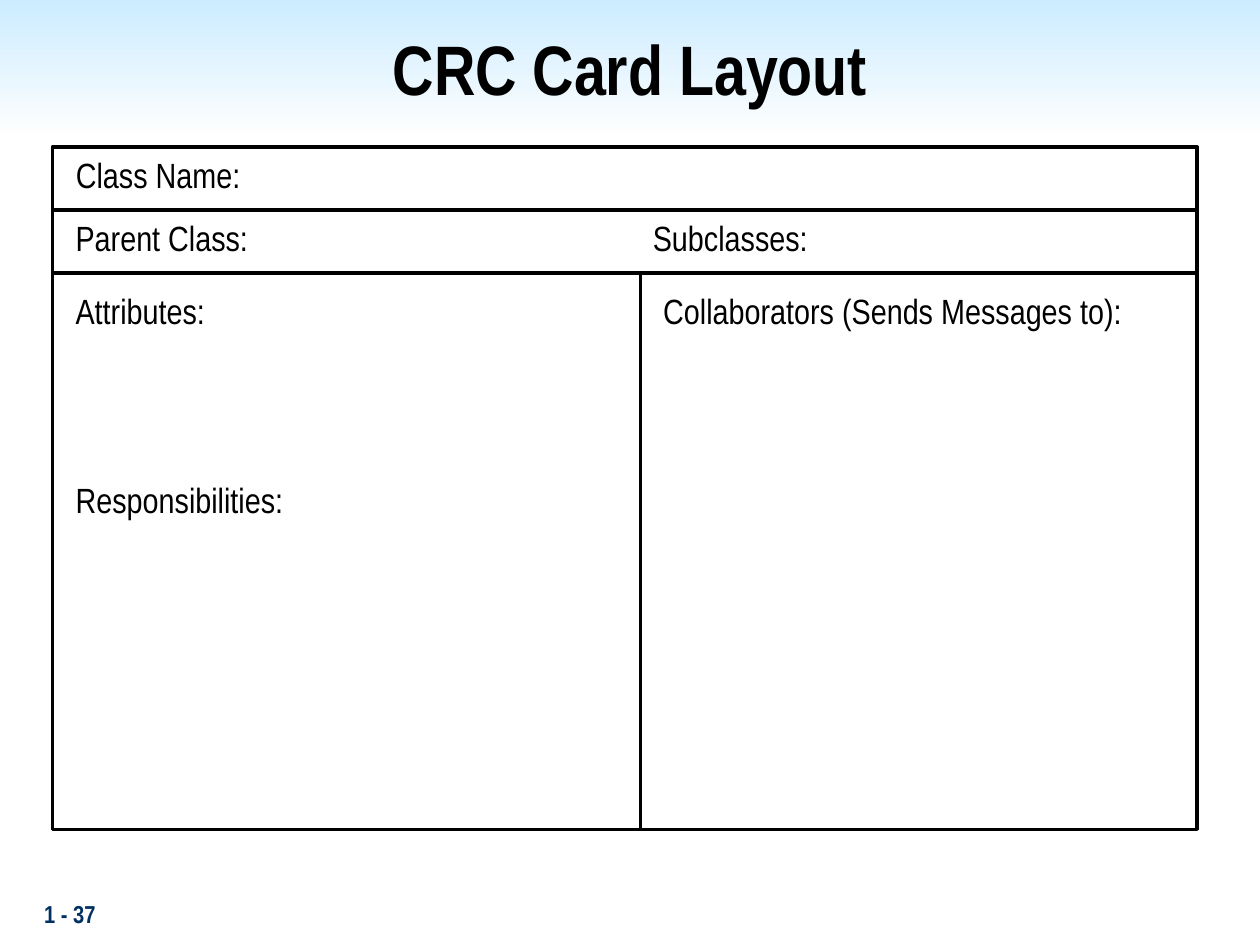
from dataclasses import dataclass

from lxml import etree
from pptx import Presentation
from pptx.dml.color import RGBColor
from pptx.enum.shapes import MSO_CONNECTOR, MSO_SHAPE
from pptx.enum.text import MSO_ANCHOR, MSO_AUTO_SIZE, PP_ALIGN
from pptx.oxml.ns import qn
from pptx.util import Cm, Pt

RECTANGLE = MSO_SHAPE.RECTANGLE
STRAIGHT = MSO_CONNECTOR.STRAIGHT
LEFT, CENTER = PP_ALIGN.LEFT, PP_ALIGN.CENTER
MIDDLE, TOP = MSO_ANCHOR.MIDDLE, MSO_ANCHOR.TOP
FIT_SHAPE, NO_FIT = MSO_AUTO_SIZE.SHAPE_TO_FIT_TEXT, MSO_AUTO_SIZE.NONE

COLORS = {"ink": "000000", "paper": "FFFFFF", "number": "003162",
          "sky": "CCECFF", "fade": "FEFEFE"}
FONT = "Arial Narrow"
LINE_WIDTH = Pt(2)

# Card geometry in centimetres
CARD_LEFT, CARD_TOP, CARD_WIDTH, CARD_HEIGHT = 1.06, 2.96, 23.07, 13.76
CARD_RIGHT, CARD_BOTTOM = CARD_LEFT + CARD_WIDTH, CARD_TOP + CARD_HEIGHT
ROW = 1.27
PARENT_TOP, BODY_TOP = CARD_TOP + ROW, CARD_TOP + 2 * ROW
DIVIDER = 12.91
GAP = 0.21
LABEL_LEFT = CARD_LEFT + GAP
LABEL_HEIGHT = 1.1


@dataclass
class Text:
    text: str
    left: float
    top: float
    width: float
    height: float = LABEL_HEIGHT
    size: int = 20
    bold: bool = False
    color: str = "ink"
    align: PP_ALIGN = CENTER
    anchor: MSO_ANCHOR = TOP
    wrap: bool = False


@dataclass
class Rule:
    x1: float
    y1: float
    x2: float
    y2: float


TEXTS = [
    Text("1 - 37", 0.64, 17.99, 5.28, 0.85, 14, True, "number", LEFT, wrap=True),
    Text("CRC Card Layout", 0.42, 0.42, 24.56, 1.9, 40, True,
         anchor=MIDDLE, wrap=True),
    Text("Class Name:", LABEL_LEFT, CARD_TOP, 3.84),
    Text("Parent Class:", LABEL_LEFT, PARENT_TOP, 3.99),
    Text("Subclasses:", DIVIDER, PARENT_TOP, 3.63),
    Text("Attributes:", LABEL_LEFT, BODY_TOP + GAP, 3.12),
    Text("Responsibilities:", LABEL_LEFT, BODY_TOP + GAP + 3 * ROW, 4.7),
    Text("Collaborators (Sends Messages to):", DIVIDER + GAP, BODY_TOP + GAP, 9.75),
]

RULES = [
    Rule(CARD_LEFT, PARENT_TOP, CARD_RIGHT, PARENT_TOP),
    Rule(CARD_LEFT, BODY_TOP, CARD_RIGHT, BODY_TOP),
    Rule(DIVIDER, BODY_TOP, DIVIDER, CARD_BOTTOM),
]


def rgb(name: str) -> RGBColor:
    return RGBColor.from_string(COLORS[name])


def add_band(slide) -> None:
    s = slide.shapes.add_shape(RECTANGLE, 0, 0, Cm(25.4), Cm(2.74))
    s.shadow.inherit = False
    s.line.fill.background()
    s.fill.gradient()
    s.fill.gradient_angle = 270
    for stop, name in zip(s.fill.gradient_stops, ("sky", "fade")):
        stop.color.rgb = rgb(name)


def add_card(slide) -> None:
    s = slide.shapes.add_shape(RECTANGLE, Cm(CARD_LEFT), Cm(CARD_TOP),
                               Cm(CARD_WIDTH), Cm(CARD_HEIGHT))
    s.shadow.inherit = False
    s.fill.solid()
    s.fill.fore_color.rgb = rgb("paper")
    s.line.color.rgb = rgb("ink")
    s.line.width = LINE_WIDTH


def add_rule(slide, rule: Rule) -> None:
    s = slide.shapes.add_connector(STRAIGHT, Cm(rule.x1), Cm(rule.y1),
                                   Cm(rule.x2), Cm(rule.y2))
    s.line.color.rgb = rgb("ink")
    s.line.width = LINE_WIDTH
    etree.SubElement(s._element.spPr, qn("a:effectLst"))


def add_text(slide, item: Text) -> None:
    s = slide.shapes.add_textbox(Cm(item.left), Cm(item.top),
                                 Cm(item.width), Cm(item.height))
    tf = s.text_frame
    tf.word_wrap = item.wrap
    tf.auto_size = NO_FIT if item.wrap else FIT_SHAPE
    tf.vertical_anchor = item.anchor
    p = tf.paragraphs[0]
    p.alignment = item.align
    r = p.add_run()
    r.text = item.text
    font_format = {"name": FONT, "size": Pt(item.size), "bold": item.bold}
    for key, value in font_format.items():
        setattr(r.font, key, value)
    r.font.color.rgb = rgb(item.color)


def main() -> None:
    prs = Presentation()
    prs.slide_width, prs.slide_height = Cm(25.4), Cm(19.05)
    slide = prs.slides.add_slide(prs.slide_layouts[6])
    add_band(slide)
    add_card(slide)
    for rule in RULES:
        add_rule(slide, rule)
    for item in TEXTS:
        add_text(slide, item)
    prs.save("out.pptx")


if __name__ == "__main__":
    main()
